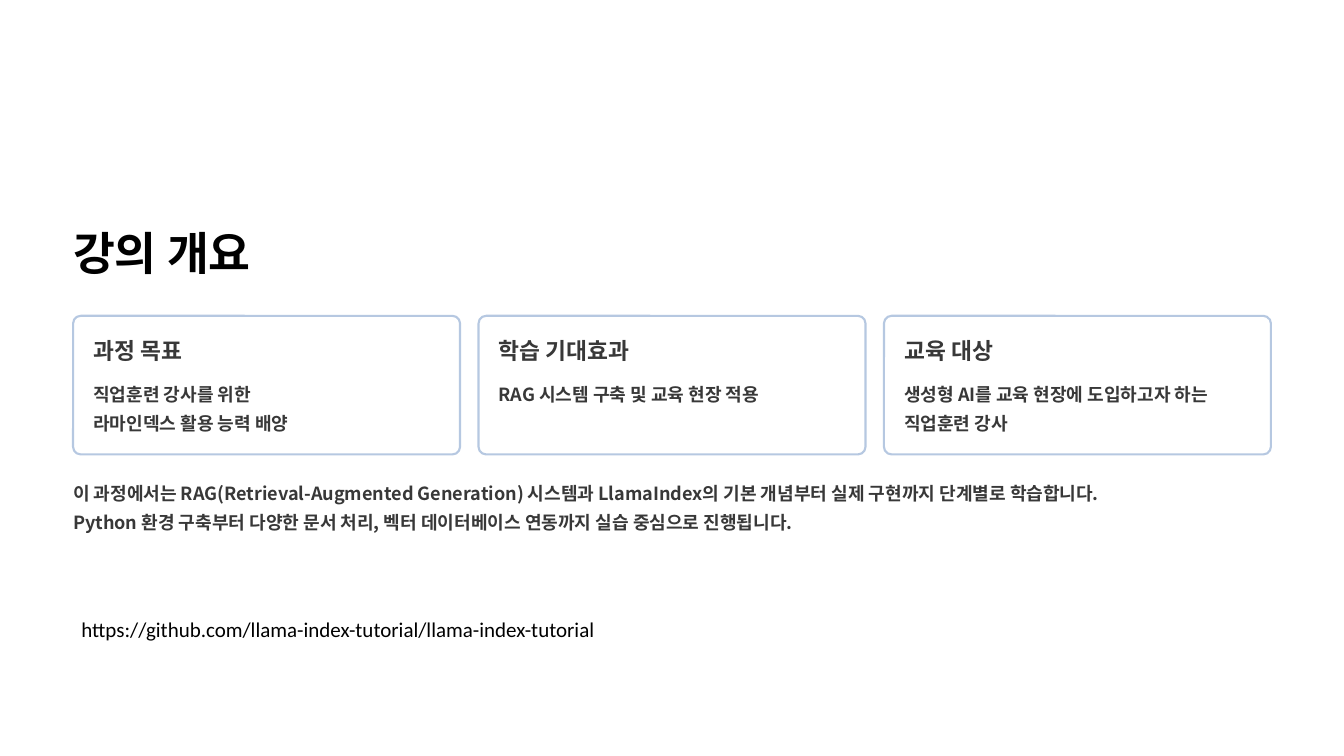
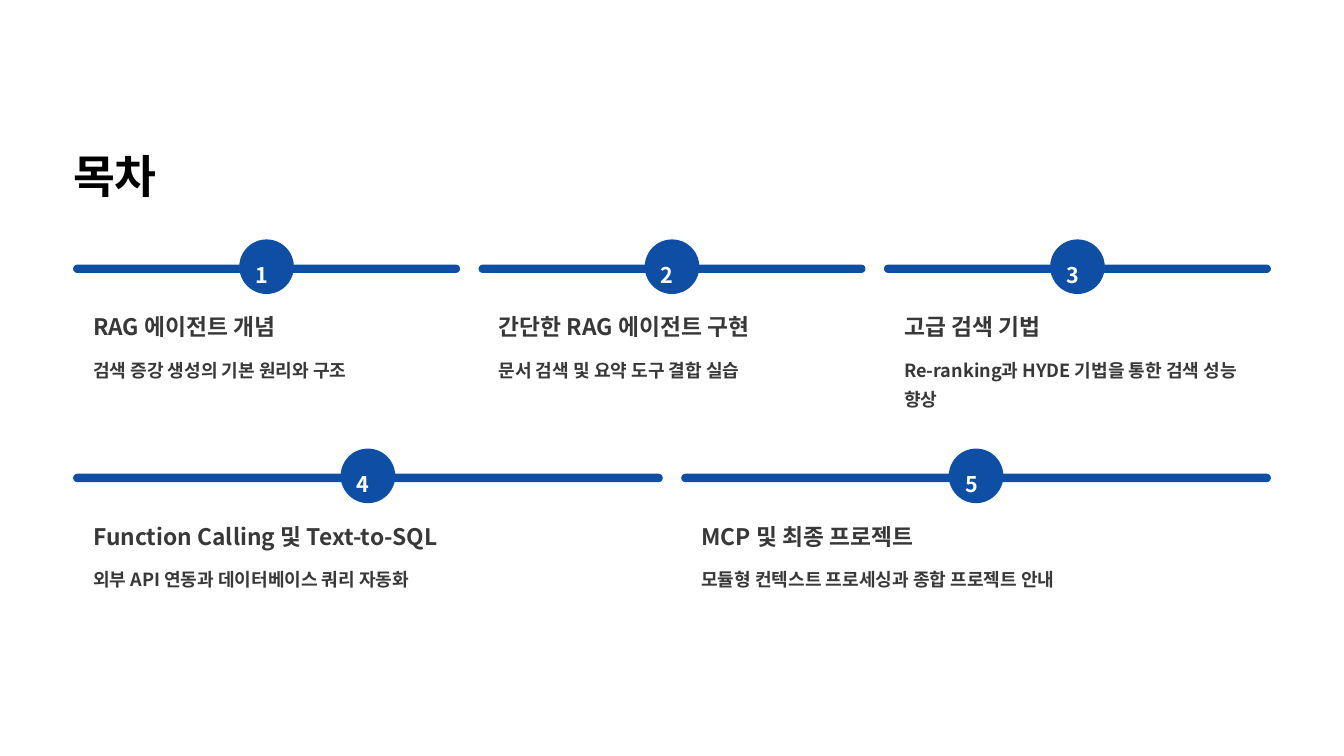
import pptx
import pptx.dml.color
import pptx.enum.shapes
import pptx.enum.text
import pptx.oxml.ns
import pptx.util
from lxml import etree

Inches, Pt = pptx.util.Inches, pptx.util.Pt
SHAPES = pptx.enum.shapes.MSO_SHAPE

COLORS = {"title": "000000", "text": "383838", "white": "FFFFFF",
          "accent": "0E4EA5", "outline": "B6C8E1"}
KOREAN_FONT, LINK_FONT = "Noto Sans CJK KR", "Calibri"

LEFT, CONTENT_WIDTH, GAP = 0.87, 14.26, 0.22
PADDING = 0.24      # from a column's edge to its text
BODY_DROP = 0.47    # from a heading's top to its body's top
BADGE = 0.65


def columns(count):
    """Left edge and width of equal columns across the content area."""
    width = (CONTENT_WIDTH - GAP * (count - 1)) / count
    return [(LEFT + i * (width + GAP), width) for i in range(count)]


def rgb(name):
    return pptx.dml.color.RGBColor.from_string(COLORS[name])


class Deck:
    # role: size, line spacing, colour
    STYLES = {"title": (39, 48.5, "title"), "heading": (19.5, 24, "text"),
              "body": (15.5, 25, "text"), "number": (18.5, 30, "white")}

    def __init__(self):
        self.presentation = pptx.Presentation()
        self.presentation.slide_width = Inches(16)
        self.presentation.slide_height = Inches(9)
        self.slide = None

    def set_text(self, frame, lines, role, wrap=True):
        """Fill a frame that has no margins with one paragraph per line."""
        size, spacing, color = self.STYLES[role]
        frame.margin_left = frame.margin_right = 0
        frame.margin_top = frame.margin_bottom = 0
        frame.word_wrap = wrap
        frame.auto_size = pptx.enum.text.MSO_AUTO_SIZE.NONE
        frame.vertical_anchor = pptx.enum.text.MSO_ANCHOR.TOP
        frame.text = "\n".join(lines)
        for paragraph in frame.paragraphs:
            paragraph.alignment = pptx.enum.text.PP_ALIGN.LEFT
            paragraph.line_spacing = Pt(spacing)
            font = paragraph.font
            font.size, font.bold, font.name = Pt(size), True, KOREAN_FONT
            font.color.rgb = rgb(color)
            # East Asian typeface follows the Latin one
            latin = paragraph._p.pPr.find(".//" + pptx.oxml.ns.qn("a:latin"))
            east_asian = etree.Element(pptx.oxml.ns.qn("a:ea"), typeface=KOREAN_FONT)
            latin.addnext(east_asian)

    def new_slide(self, title, top):
        layout = self.presentation.slide_layouts[5]
        self.slide = self.presentation.slides.add_slide(layout)
        heading = self.slide.shapes.title
        heading.left, heading.top = Inches(LEFT), Inches(top)
        heading.width, heading.height = Inches(5.43), Inches(0.68)
        self.set_text(heading.text_frame, [title], "title", wrap=False)

    def text(self, left, top, width, height, lines, role, wrap=True):
        box = self.slide.shapes.add_textbox(
            Inches(left), Inches(top), Inches(width), Inches(height))
        self.set_text(box.text_frame, lines, role, wrap)

    def shape(self, kind, left, top, width, height, fill, outline=None, adjust=None):
        shape = self.slide.shapes.add_shape(
            kind, Inches(left), Inches(top), Inches(width), Inches(height))
        shape.shadow.inherit = False
        shape.fill.solid()
        shape.fill.fore_color.rgb = rgb(fill)
        if outline:
            shape.line.color.rgb = rgb(outline)
            shape.line.width = Pt(1.8)
        else:
            shape.line.fill.background()
        if adjust is not None:
            shape.adjustments[0] = adjust
        return shape

    def topic(self, left, top, width, heading, lines):
        """Heading with its body text inside a column."""
        left, width = left + PADDING, width - 2 * PADDING
        self.text(left, top, width, 0.34, [heading], "heading", wrap=False)
        self.text(left, top + BODY_DROP, width, 0.69, lines, "body")

    def card(self, left, top, width, heading, lines):
        self.shape(SHAPES.ROUNDED_RECTANGLE, left, top, width, 1.65,
                   "white", "outline", 0.055)
        self.topic(left, top + PADDING, width, heading, lines)

    def chapter(self, left, top, width, number, heading, summary):
        """Bar with a numbered badge above a topic."""
        self.shape(SHAPES.ROUNDED_RECTANGLE, left, top, width, 0.1,
                   "accent", adjust=0.5)
        badge = self.shape(SHAPES.OVAL, left + (width - BADGE) / 2, top - 0.3,
                           BADGE, BADGE, "accent")
        self.set_text(badge.text_frame, [str(number)], "number")
        badge.text_frame.margin_left = Inches(0.1)
        badge.text_frame.margin_top = Inches(0.06)
        self.topic(left, top + 0.57, width, heading, [summary])

    def link(self, left, top, width, height, address):
        box = self.slide.shapes.add_textbox(
            Inches(left), Inches(top), Inches(width), Inches(height))
        box.text_frame.word_wrap = True
        box.text_frame.text = address
        font = box.text_frame.paragraphs[0].font
        font.size, font.name = Pt(18), LINK_FONT
        font.color.rgb = rgb("title")


def overview(deck):
    deck.new_slide("강의 개요", 2.65)
    cards = [
        ("과정 목표", ["직업훈련 강사를 위한", "라마인덱스 활용 능력 배양"]),
        ("학습 기대효과", ["RAG 시스템 구축 및 교육 현장 적용"]),
        ("교육 대상", ["생성형 AI를 교육 현장에 도입하고자 하는 직업훈련 강사"]),
    ]
    for (left, width), (heading, lines) in zip(columns(len(cards)), cards):
        deck.card(left, 3.76, width, heading, lines)
    deck.text(LEFT, 5.65, CONTENT_WIDTH, 0.69, [
        "이 과정에서는 RAG(Retrieval-Augmented Generation) 시스템과 LlamaIndex의 "
        "기본 개념부터 실제 구현까지 단계별로 학습합니다.",
        "Python 환경 구축부터 다양한 문서 처리, 벡터 데이터베이스 연동까지 "
        "실습 중심으로 진행됩니다.",
    ], "body")
    deck.link(LEFT, 7.29, 8, 0.4,
              "https://github.com/llama-index-tutorial/llama-index-tutorial")


def contents(deck):
    deck.new_slide("목차", 1.74)
    rows = [
        (3.15, [("RAG 에이전트 개념", "검색 증강 생성의 기본 원리와 구조"),
                ("간단한 RAG 에이전트 구현", "문서 검색 및 요약 도구 결합 실습"),
                ("고급 검색 기법", "Re-ranking과 HYDE 기법을 통한 검색 성능 향상")]),
        (5.64, [("Function Calling 및 Text-to-SQL",
                 "외부 API 연동과 데이터베이스 쿼리 자동화"),
                ("MCP 및 최종 프로젝트",
                 "모듈형 컨텍스트 프로세싱과 종합 프로젝트 안내")]),
    ]
    number = 0
    for top, chapters in rows:
        for (left, width), (heading, summary) in zip(columns(len(chapters)), chapters):
            number += 1
            deck.chapter(left, top, width, number, heading, summary)


def main():
    deck = Deck()
    overview(deck)
    contents(deck)
    deck.presentation.save("out.pptx")


if __name__ == "__main__":
    main()
